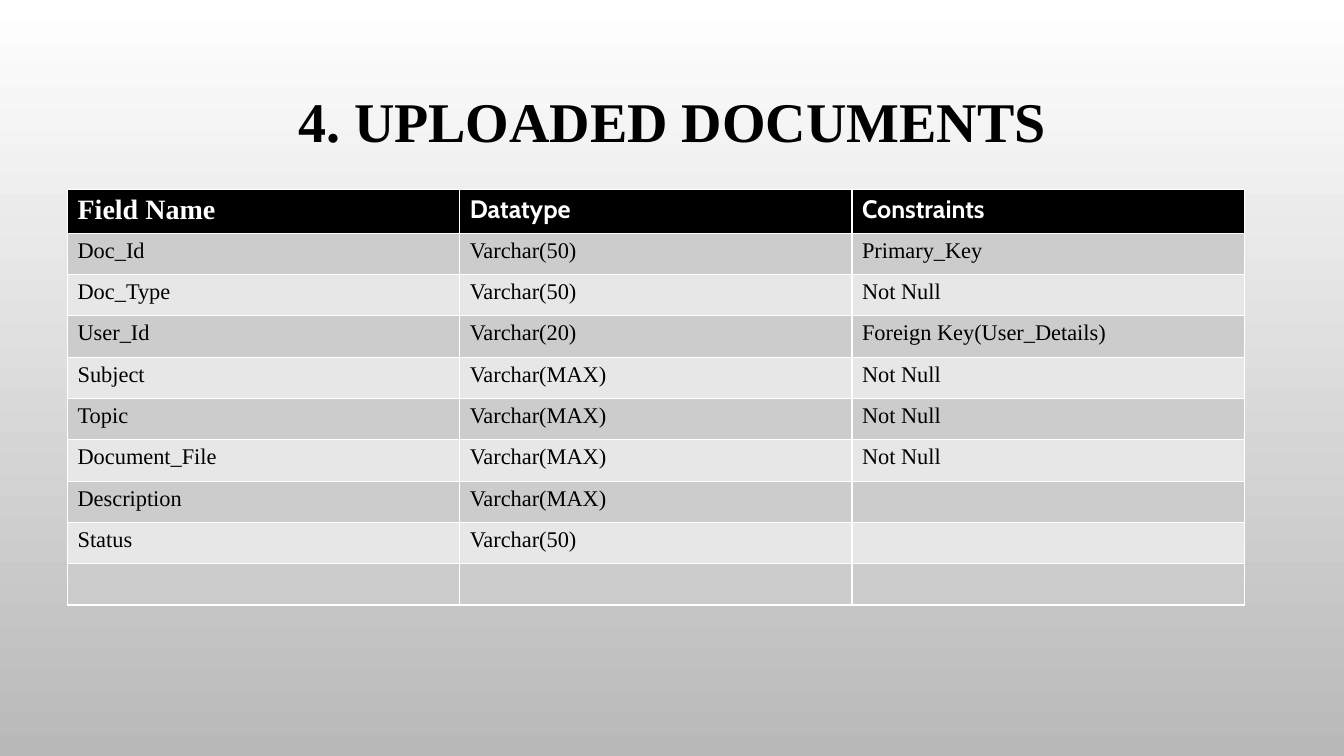
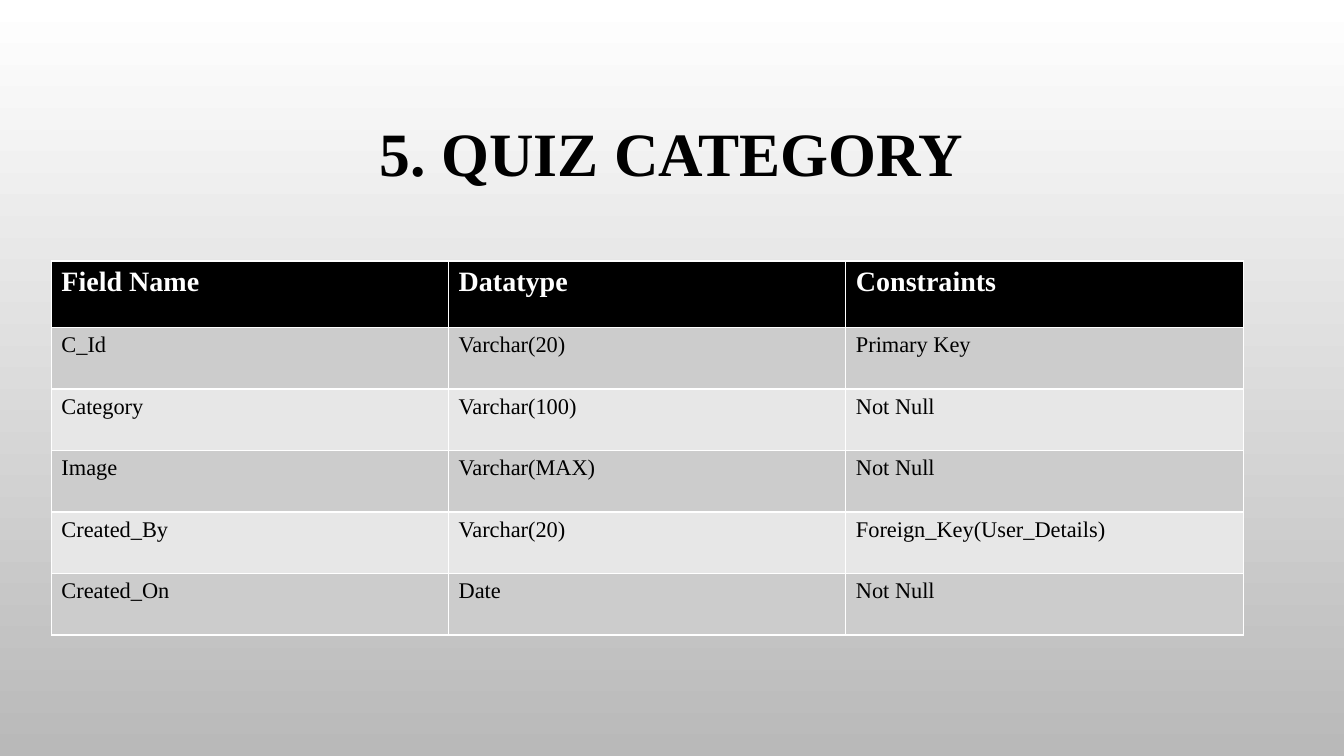
from pptx import Presentation
from pptx import util as u
from pptx.dml.color import RGBColor
from pptx.enum import text

SERIF, SANS = "Times New Roman", "Cabin"
BLACK, WHITE, GREY = "000000", "FFFFFF", "B9B9B9"
BANDS = "CCCCCC", "E7E7E7"
WIDTH, HEIGHT = 13.33, 7.5
TITLE_LEFT, TITLE_HEIGHT = 1, 1.75
HEADER = ["Field Name", "Datatype", "Constraints"]

SLIDES = [
    dict(
        title="4. UPLOADED DOCUMENTS", title_size=40, title_top=0.36,
        left=0.67, top=1.88, column=3.89, header_row=0.41, body_row=0.41,
        header_fonts=[(SERIF, 20), (SANS, 18), (SANS, 18)],
        rows=[
            ("Doc_Id", "Varchar(50)", "Primary_Key"),
            ("Doc_Type", "Varchar(50)", "Not Null"),
            ("User_Id", "Varchar(20)", "Foreign Key(User_Details)"),
            ("Subject", "Varchar(MAX)", "Not Null"),
            ("Topic", "Varchar(MAX)", "Not Null"),
            ("Document_File", "Varchar(MAX)", "Not Null"),
            ("Description", "Varchar(MAX)", ""),
            ("Status", "Varchar(50)", ""),
            ("", "", ""),
        ],
    ),
    dict(
        title="5. QUIZ CATEGORY", title_size=44, title_top=0.68,
        left=0.51, top=2.59, column=3.94, header_row=0.66, body_row=0.61,
        header_fonts=[(SERIF, 20)] * 3,
        rows=[
            ("C_Id", "Varchar(20)", "Primary Key"),
            ("Category", "Varchar(100)", "Not Null"),
            ("Image", "Varchar(MAX)", "Not Null"),
            ("Created_By", "Varchar(20)", "Foreign_Key(User_Details)"),
            ("Created_On", "Date", "Not Null"),
        ],
    ),
]


def rgb(value):
    return RGBColor.from_string(value)


def write(tf, words, name, size, color, bold):
    p = tf.paragraphs[0]
    p.text = words
    p.font.name, p.font.size, p.font.bold = name, u.Pt(size), bold
    p.font.color.rgb = rgb(color)
    return p


def add_background(s):
    fill = s.background.fill
    fill.gradient()
    fill.gradient_angle = 270
    for stop, position, color in zip(fill.gradient_stops, (0, 1), (WHITE, GREY)):
        stop.position = position
        stop.color.rgb = rgb(color)


def add_title(s, data):
    sp = s.shapes.add_textbox(
        u.Inches(TITLE_LEFT), u.Inches(data["title_top"]),
        u.Inches(WIDTH - 2 * TITLE_LEFT), u.Inches(TITLE_HEIGHT))
    tf = sp.text_frame
    tf.word_wrap = True
    tf.vertical_anchor = text.MSO_ANCHOR.MIDDLE
    p = write(tf, data["title"], SERIF, data["title_size"], BLACK, True)
    p.alignment = text.PP_ALIGN.CENTER
    p.line_spacing = 0.9


def add_field_table(s, data):
    rows = [HEADER] + data["rows"]
    heights = [data["header_row"]] + [data["body_row"]] * len(data["rows"])
    table = s.shapes.add_table(
        len(rows), len(HEADER), u.Inches(data["left"]), u.Inches(data["top"]),
        u.Inches(data["column"] * len(HEADER)), u.Inches(sum(heights))).table
    for i, (row, height) in enumerate(zip(rows, heights)):
        table.rows[i].height = u.Inches(height)
        for j, words in enumerate(row):
            cell = table.cell(i, j)
            cell.fill.solid()
            if i == 0:
                cell.fill.fore_color.rgb = rgb(BLACK)
                write(cell.text_frame, words, *data["header_fonts"][j], WHITE, True)
            else:
                cell.fill.fore_color.rgb = rgb(BANDS[(i - 1) % 2])
                write(cell.text_frame, words, SERIF, 16, BLACK, False)


def main():
    prs = Presentation()
    prs.slide_width, prs.slide_height = u.Inches(WIDTH), u.Inches(HEIGHT)
    for data in SLIDES:
        s = prs.slides.add_slide(prs.slide_layouts[6])
        add_background(s)
        add_title(s, data)
        add_field_table(s, data)
    prs.save("out.pptx")


if __name__ == "__main__":
    main()
